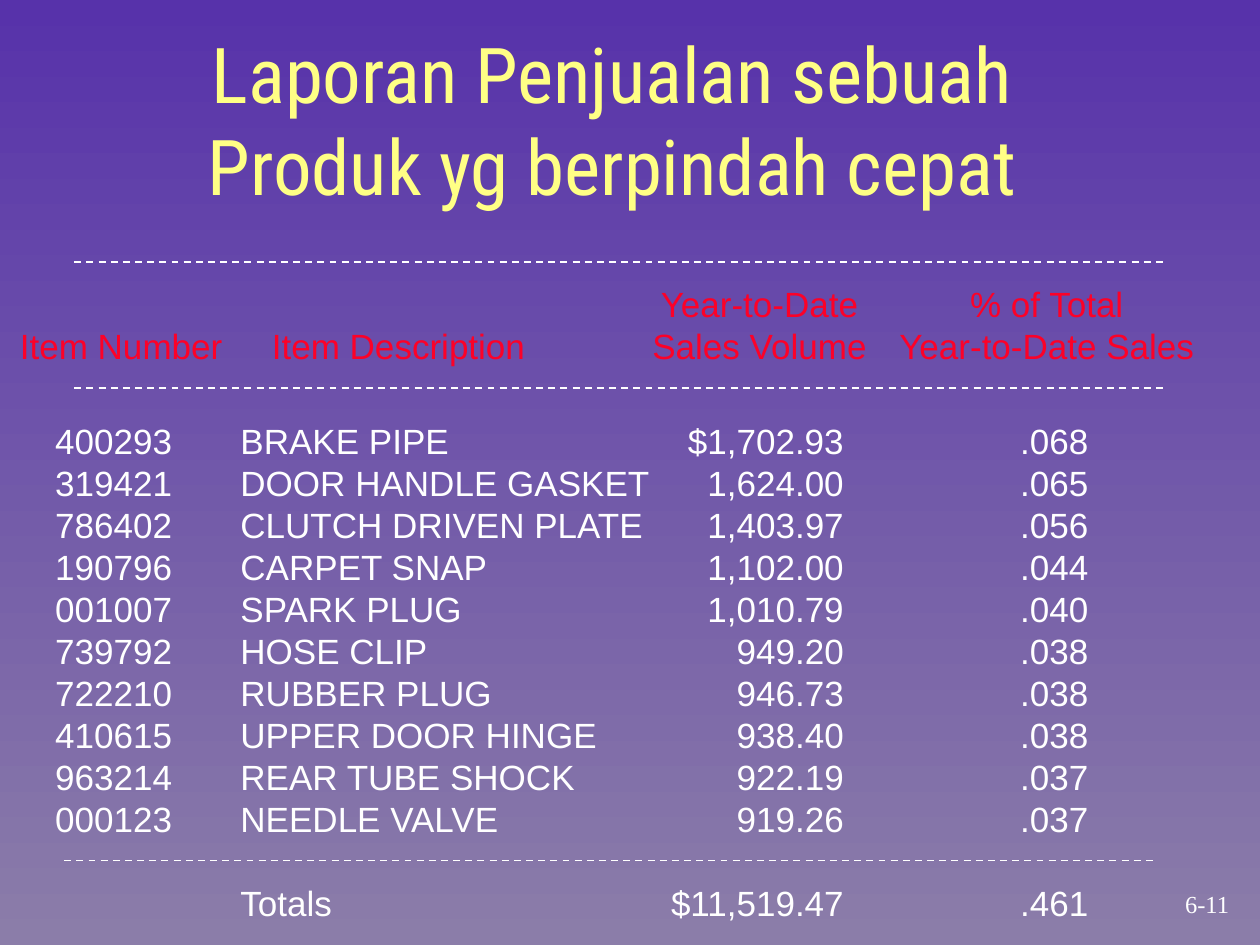
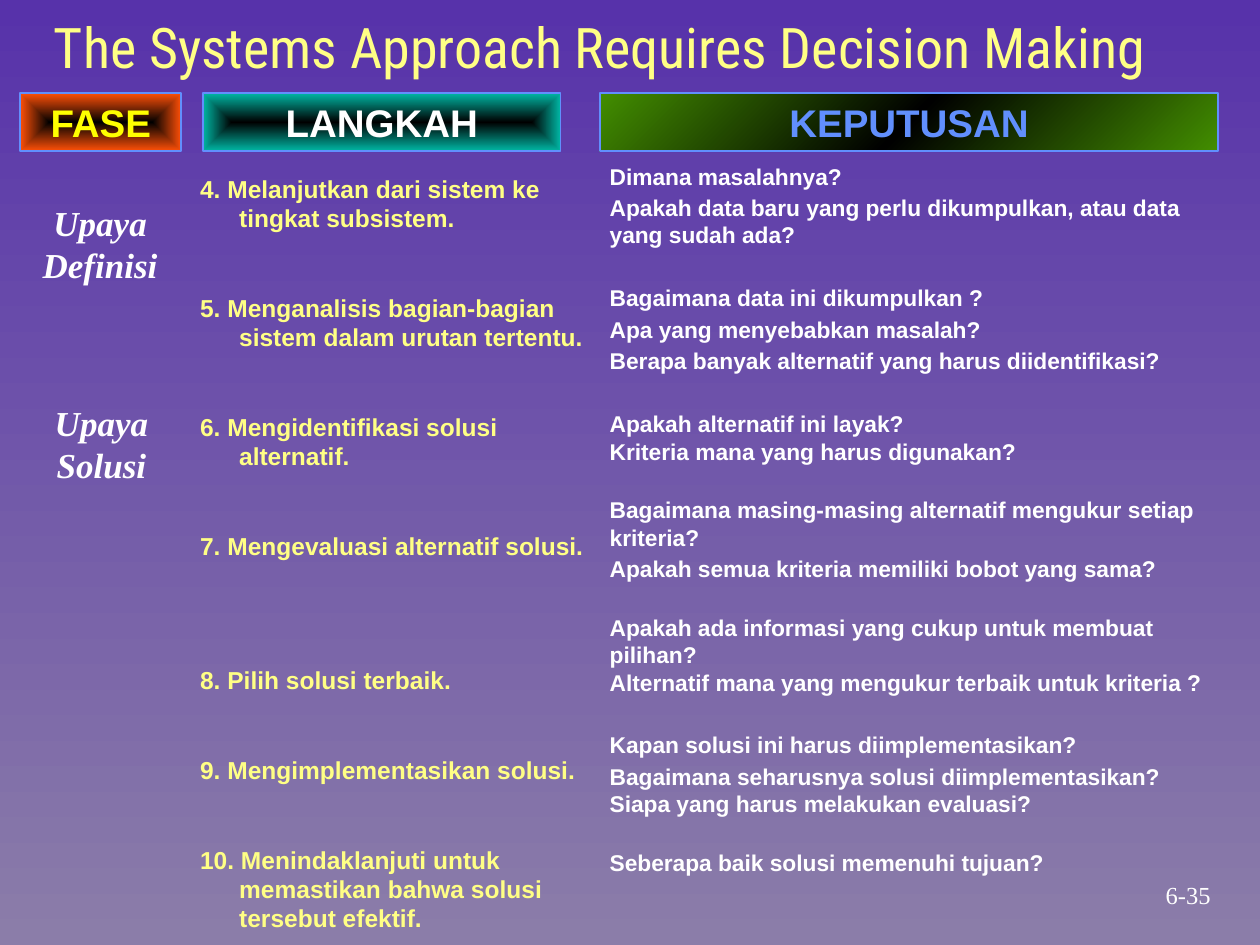
from copy import deepcopy

from lxml.etree import SubElement
from pptx import Presentation
from pptx.dml.color import RGBColor
from pptx.enum.dml import MSO_LINE
from pptx.enum.shapes import MSO_CONNECTOR, MSO_SHAPE
from pptx.enum.text import MSO_ANCHOR, PP_ALIGN
from pptx.oxml.ns import qn
from pptx.util import Inches, Pt

WHITE = RGBColor(0xFF, 0xFF, 0xFF)
BLACK = RGBColor(0x00, 0x00, 0x00)
CREAM = RGBColor(0xFF, 0xFF, 0x85)
YELLOW = RGBColor(0xFF, 0xFF, 0x00)
RED = RGBColor(0xFC, 0x01, 0x28)
BLUE = RGBColor(0x61, 0x8F, 0xFD)
ORANGE = RGBColor(0xFF, 0x50, 0x08)
TEAL = RGBColor(0x00, 0xB7, 0xA5)
GREEN = RGBColor(0x43, 0x8E, 0x00)
VIOLET = RGBColor(0x57, 0x32, 0xAA)
MAUVE = RGBColor(0x8B, 0x7D, 0xA9)

COLS, ROWS = 100, 75
LEADING = 1.2

TITLE = {"name": "Roboto Condensed", "size": 44, "color": CREAM}
SUBTITLE = TITLE | {"size": 32}
CELL = {"name": "Arial", "size": 20, "color": WHITE}
HEADER = CELL | {"color": RED}
BAND = CELL | {"size": 22, "bold": True}
STEP = BAND | {"size": 14, "color": CREAM}
QUERY = BAND | {"size": 13}
NUMBER = {"name": "Times New Roman", "size": 14, "color": WHITE}
PHASE = NUMBER | {"size": 20, "bold": True, "italic": True}

HEADS = [
    "\t\tYear-to-Date\t% of Total",
    "Item Number\tItem Description\tSales Volume\tYear-to-Date Sales",
]
HEAD_TABS = [(2.0, "l"), (5.87, "ctr"), (8.15, "ctr")]
ITEMS = [
    ("400293", "BRAKE PIPE", "$1,702.93", ".068"),
    ("319421", "DOOR HANDLE GASKET", "1,624.00", ".065"),
    ("786402", "CLUTCH DRIVEN PLATE", "1,403.97", ".056"),
    ("190796", "CARPET SNAP", "1,102.00", ".044"),
    ("001007", "SPARK PLUG", "1,010.79", ".040"),
    ("739792", "HOSE CLIP", "949.20", ".038"),
    ("722210", "RUBBER PLUG", "946.73", ".038"),
    ("410615", "UPPER DOOR HINGE", "938.40", ".038"),
    ("963214", "REAR TUBE SHOCK", "922.19", ".037"),
    ("000123", "NEEDLE VALVE", "919.26", ".037"),
    ("", "Totals", "$11,519.47", ".461"),
]
ITEM_TABS = [(0.31, "l"), (1.78, "l"), (6.57, "r"), (8.51, "r")]

STEPS = [
    "4. Melanjutkan dari sistem ke tingkat subsistem.",
    "5. Menganalisis bagian-bagian sistem dalam urutan tertentu.",
    "6. Mengidentifikasi solusi alternatif.",
    "7. Mengevaluasi alternatif solusi.",
    "8. Pilih solusi terbaik.",
    "9. Mengimplementasikan solusi.",
    "10. Menindaklanjuti untuk memastikan bahwa solusi tersebut efektif.",
]
STEP_GAPS = [8.8, 34.4, 34.4, 34.4, 60, 34.4, 34.4]
QUERIES = [
    (2.4, ["Dimana masalahnya?",
           "Apakah data baru yang perlu dikumpulkan, atau data yang sudah ada?"]),
    (20.4, ["Bagaimana data ini dikumpulkan ?",
            "Apa yang menyebabkan masalah?",
            "Berapa banyak alternatif yang harus diidentifikasi?"]),
    (20.4, ["Apakah alternatif ini layak?\nKriteria mana yang harus digunakan?"]),
    (18, ["Bagaimana masing-masing alternatif mengukur setiap kriteria?",
          "Apakah semua kriteria memiliki bobot yang sama?"]),
    (18, ["Apakah ada informasi yang cukup untuk membuat pilihan?\n"
          "Alternatif mana yang mengukur terbaik untuk kriteria ?"]),
    (20.4, ["Kapan solusi ini harus diimplementasikan?",
            "Bagaimana seharusnya solusi diimplementasikan?\n"
            "Siapa yang harus melakukan evaluasi?"]),
    (18, ["Seberapa baik solusi memenuhi tujuan?"]),
]
BANDS = [
    ("FASE", 1.6, 12.8, YELLOW, [BLACK, ORANGE], None),
    ("LANGKAH", 16.1, 28.4, WHITE, [BLACK, TEAL], None),
    ("KEPUTUSAN", 47.6, 49.1, BLUE, [GREEN, BLACK, GREEN], 315),
]


class Deck:
    def __init__(self):
        self.show = Presentation()
        self.show.slide_width, self.show.slide_height = Inches(10), Inches(7.5)
        fill = self.show.slide_master.background.fill
        fill.gradient()
        fill.gradient_angle = 270
        for stop, tint in zip(fill.gradient_stops, [VIOLET, MAUVE]):
            stop.color.rgb = tint

    def page(self):
        self.slide = self.show.slides.add_slide(self.show.slide_layouts[6])

    def grid(self, *cells):
        steps = (self.show.slide_width / COLS, self.show.slide_height / ROWS)
        return [round(cell * steps[i % 2]) for i, cell in enumerate(cells)]

    def letter(self, shape, lines, style, align=PP_ALIGN.LEFT, gaps=(), tabs=(),
               hang=0, anchor=MSO_ANCHOR.TOP):
        frame = shape.text_frame
        frame.word_wrap = True
        frame.vertical_anchor = anchor
        for i, line in enumerate(lines):
            para = frame.add_paragraph() if i else frame.paragraphs[0]
            para.text = line
            form = {"alignment": align, "line_spacing": Pt(style["size"] * LEADING),
                    "space_before": Pt(gaps[i] if gaps else 0)}
            for key, value in form.items():
                setattr(para, key, value)
            props = para._p.get_or_add_pPr()
            if hang:
                props.set("marL", str(Inches(hang)))
                props.set("indent", str(-Inches(hang)))
            if tabs:
                stops = SubElement(props, qn("a:tabLst"))
                for place, kind in tabs:
                    SubElement(stops, qn("a:tab"), pos=str(Inches(place)), algn=kind)
            for run in para.runs:
                for key, value in style.items():
                    if key == "color":
                        run.font.color.rgb = value
                    else:
                        setattr(run.font, key, Pt(value) if key == "size" else value)

    def text(self, box, lines, style, **form):
        self.letter(self.slide.shapes.add_textbox(*self.grid(*box)), lines, style, **form)

    def rule(self, left, top, width):
        ends = self.grid(left, top, left + width, top)
        line = self.slide.shapes.add_connector(MSO_CONNECTOR.STRAIGHT, *ends)
        line.line.color.rgb = WHITE
        line.line.width = Pt(1)
        line.line.dash_style = MSO_LINE.DASH
        SubElement(line._element.spPr, qn("a:effectLst"))

    def band(self, label, left, width, color, tints, angle):
        box = self.grid(left, 7.4, width, 4.6)
        shape = self.slide.shapes.add_shape(MSO_SHAPE.RECTANGLE, *box)
        shape.shadow.inherit = False
        shape.line.color.rgb = BLUE
        shape.line.width = Pt(1)
        self.blend(shape, tints, angle)
        self.letter(shape, [label], BAND | {"color": color},
                    align=PP_ALIGN.CENTER, gaps=[13.8])

    def blend(self, shape, tints, angle):
        fill = shape.fill
        fill.gradient()
        grad = shape._element.spPr.find(qn("a:gradFill"))
        stops = grad.find(qn("a:gsLst"))
        for _ in tints[2:]:
            stops.append(deepcopy(stops[0]))
        for i, (stop, tint) in enumerate(zip(fill.gradient_stops, tints)):
            stop.position = i / (len(tints) - 1)
            stop.color.rgb = tint
        if angle is None:
            lin = grad.find(qn("a:lin"))
            focus = SubElement(grad, qn("a:path"), {"path": "rect"})
            SubElement(focus, qn("a:fillToRect"), dict.fromkeys("ltrb", "50000"))
            grad.replace(lin, focus)
        else:
            fill.gradient_angle = angle

    def number(self, left, top, label):
        self.text((left, top, 11.8, 3.4), [label], NUMBER,
                  align=PP_ALIGN.CENTER, anchor=MSO_ANCHOR.MIDDLE)


def sales(deck):
    deck.page()
    deck.text((8, 1.6, 81.2, 15.6),
              ["Laporan Penjualan sebuah", "Produk yg berpindah cepat"],
              TITLE, align=PP_ALIGN.CENTER)
    for left, top in [(5.9, 20.8), (5.9, 30.8), (5.1, 68.3)]:
        deck.rule(left, top, 86.5)
    deck.text((0.6, 21.9, 99.4, 7.6), HEADS, HEADER, tabs=HEAD_TABS)
    lines = ["\t" + "\t".join(item) for item in ITEMS]
    gaps = [0] * (len(ITEMS) - 1) + [CELL["size"] * LEADING]
    deck.text((0.3, 32.8, 87.7, 41), lines, CELL, tabs=ITEM_TABS, gaps=gaps)
    deck.number(89.9, 70, "6-11")


def method(deck):
    deck.page()
    deck.text((3.3, 0.5, 92.6, 11.6),
              ["The Systems Approach Requires Decision Making"], SUBTITLE)
    for box, label in [((0.8, 15.5, 14.3, 11), "Upaya Definisi"),
                       ((1.6, 31.4, 12.9, 7.6), "Upaya Solusi")]:
        deck.text(box, [label], PHASE, align=PP_ALIGN.CENTER)
    for band in BANDS:
        deck.band(*band)
    deck.text((14.9, 13.3, 32.6, 61.1), STEPS, STEP, gaps=STEP_GAPS, hang=0.31)
    lines = [line for _, group in QUERIES for line in group]
    gaps = [2.4 if i else gap for gap, group in QUERIES for i in range(len(group))]
    deck.text((47.4, 12.4, 50.9, 57.7), lines, QUERY, gaps=gaps)
    deck.number(88.4, 69.3, "6-35")


def main():
    deck = Deck()
    sales(deck)
    method(deck)
    deck.show.save("out.pptx")


if __name__ == "__main__":
    main()
